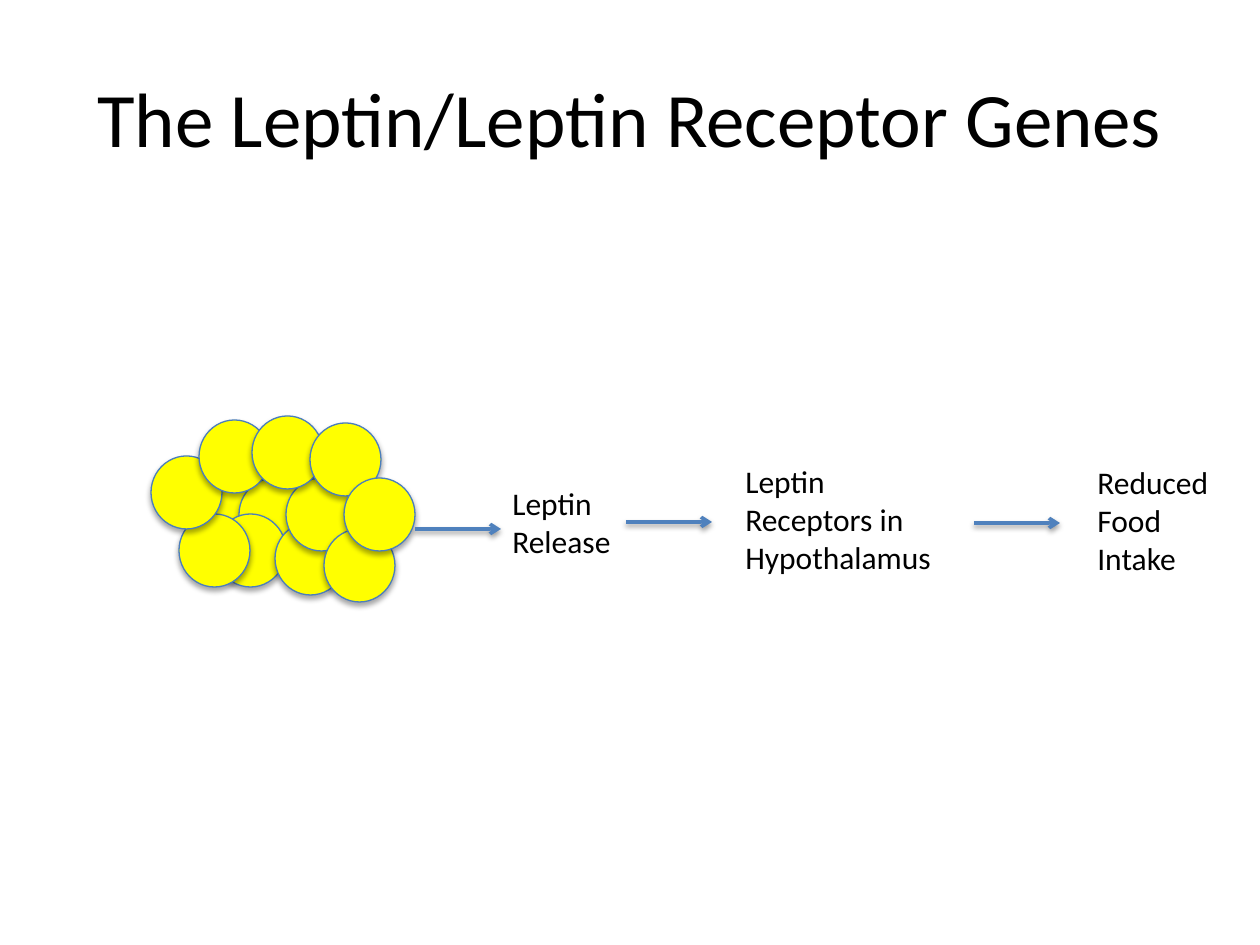
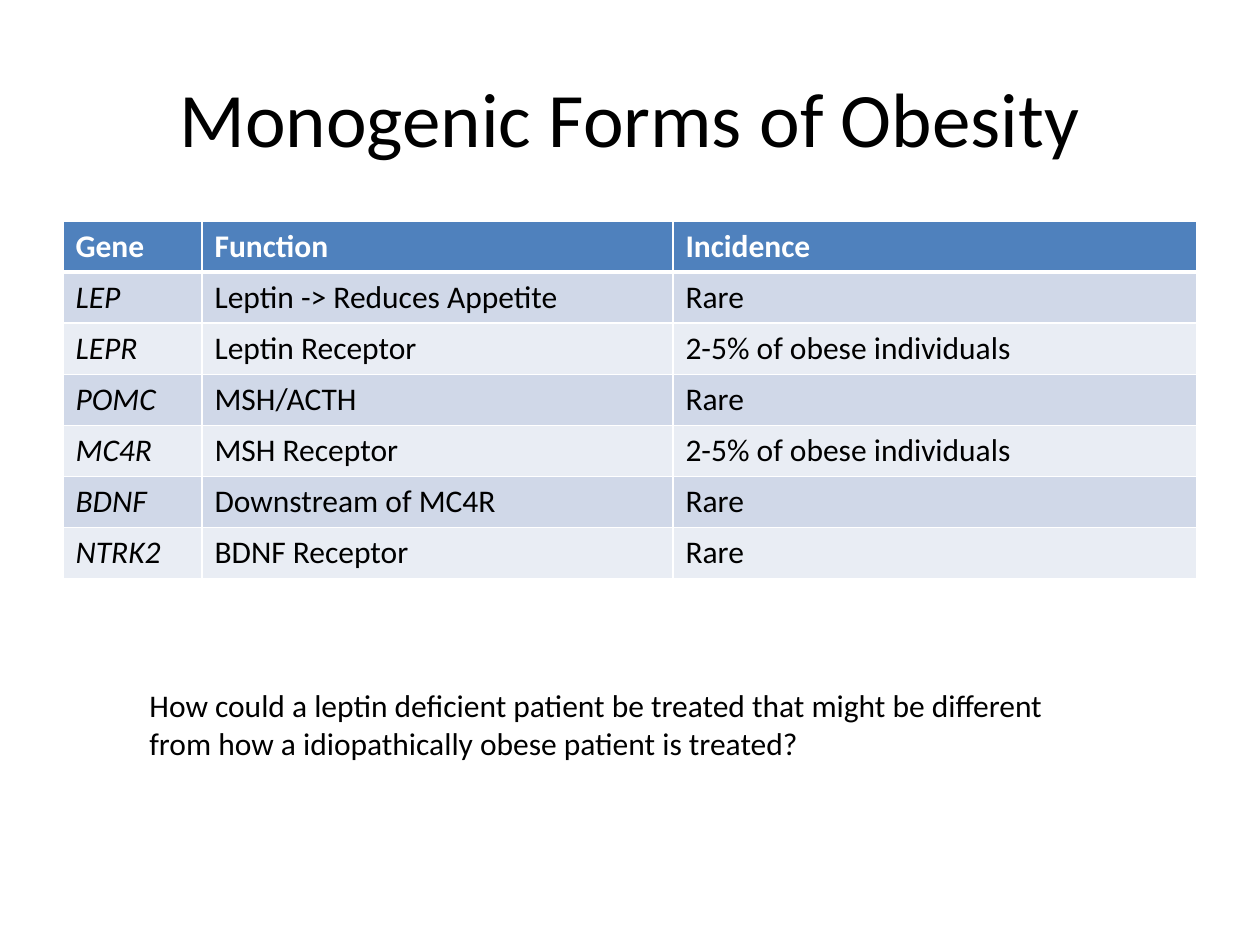
from lxml import etree
from pptx import Presentation
from pptx import util as u
from pptx.dml.color import RGBColor
from pptx.enum import shapes, text
from pptx.oxml import ns

SCALE = 914400 / 126
FONT = "Calibri"
BLACK, WHITE, BLUE = "000000", "FFFFFF", "4F81BD"
CELL_FILL, CELL_OUTLINE = "FFFF00", "4B7EBC"
BAND_FILLS = ("D0D8E8", "E9EDF4")

TITLE_BOX = (63, 38, 1134, 157)

FAT_CELL_SIZE = (71, 73)
FAT_CELLS = [
    (204, 478), (239, 478), (215, 514), (275, 522), (286, 478), (179, 514),
    (151, 456), (199, 420), (252, 416), (310, 423), (324, 529), (344, 478),
]
STEPS = [
    (["Leptin", "Release"], (500, 478, 125, 89)),
    (["Leptin", "Receptors in", "Hypothalamus"], (733, 456, 213, 127)),
    (["Reduced", "Food", "Intake"], (1085, 457, 137, 127)),
]
ARROW_LENGTH = 86
ARROW_STARTS = [(415, 529), (626, 522), (974, 523)]

TABLE_ORIGIN = (63, 221)
COLUMN_WIDTHS = (139, 471, 524)
ROW_HEIGHT = 51
GENES = [
    ("Gene", "Function", "Incidence"),
    ("LEP", "Leptin -> Reduces Appetite", "Rare"),
    ("LEPR", "Leptin Receptor", "2-5% of obese individuals"),
    ("POMC", "MSH/ACTH", "Rare"),
    ("MC4R", "MSH Receptor", "2-5% of obese individuals"),
    ("BDNF", "Downstream of MC4R", "Rare"),
    ("NTRK2", "BDNF Receptor", "Rare"),
]
QUESTION = ("How could a leptin deficient patient be treated that might be "
            "different from how a idiopathically obese patient is treated?")
QUESTION_BOX = (137, 680, 939, 89)


def px(*lengths):
    return [u.Emu(round(length * SCALE)) for length in lengths]


def color(value):
    return RGBColor.from_string(value)


def write(frame, lines, size=18, fill=BLACK, bold=False, italic=False, align=None):
    for index, line in enumerate(lines):
        paragraph = frame.paragraphs[0] if index == 0 else frame.add_paragraph()
        paragraph.alignment = align
        run = paragraph.add_run()
        run.text = line
        run.font.name = FONT
        run.font.size = u.Pt(size)
        run.font.color.rgb = color(fill)
        run.font.bold = bold
        run.font.italic = italic


def add_child(parent, tag, **attributes):
    child = etree.SubElement(parent, ns.qn(tag))
    for name, value in attributes.items():
        child.set(name, str(value))
    return child


def add_shadow(shape, distance, opacity):
    effects = add_child(shape._element.spPr, "a:effectLst")
    shadow = add_child(effects, "a:outerShdw", blurRad=u.Pt(3.1), dist=u.Pt(distance),
                       dir=90 * 60000, rotWithShape=0)
    add_child(add_child(shadow, "a:srgbClr", val=BLACK), "a:alpha", val=opacity * 1000)


def add_titled_slide(presentation, title):
    slide = presentation.slides.add_slide(presentation.slide_layouts[5])
    shape = slide.shapes.title
    shape.left, shape.top, shape.width, shape.height = px(*TITLE_BOX)
    shape.text_frame.vertical_anchor = text.MSO_ANCHOR.MIDDLE
    write(shape.text_frame, [title], size=44, align=text.PP_ALIGN.CENTER)
    return slide


def add_label(slide, lines, box, wrap):
    frame = slide.shapes.add_textbox(*px(*box)).text_frame
    frame.word_wrap = wrap
    frame.auto_size = text.MSO_AUTO_SIZE.SHAPE_TO_FIT_TEXT
    write(frame, lines)


def add_fat_cell(slide, position):
    shape = slide.shapes.add_shape(shapes.MSO_SHAPE.OVAL, *px(*position, *FAT_CELL_SIZE))
    shape.fill.solid()
    shape.fill.fore_color.rgb = color(CELL_FILL)
    shape.line.color.rgb = color(CELL_OUTLINE)
    shape.line.width = u.Pt(0.75)
    add_shadow(shape, 1.8, 35)


def add_arrow(slide, left, top):
    arrow = slide.shapes.add_connector(
        shapes.MSO_CONNECTOR.STRAIGHT, *px(left, top, left + ARROW_LENGTH, top))
    arrow.line.color.rgb = color(BLUE)
    arrow.line.width = u.Pt(2)
    add_child(arrow.line._get_or_add_ln(), "a:tailEnd", type="arrow")
    add_shadow(arrow, 1.6, 38)


def format_cell(cell, row, column):
    header = row == 0
    properties = cell._tc.get_or_add_tcPr()
    for side in "LRTB":
        heavy = (header and side == "B") or (row == 1 and side == "T")
        border = add_child(properties, f"a:ln{side}", w=u.Pt(3 if heavy else 1))
        add_child(add_child(border, "a:solidFill"), "a:srgbClr", val=WHITE)
    cell.fill.solid()
    cell.fill.fore_color.rgb = color(BLUE if header else BAND_FILLS[(row - 1) % 2])
    write(cell.text_frame, [GENES[row][column]], fill=WHITE if header else BLACK,
          bold=header, italic=not header and column == 0)


def add_gene_table(slide):
    size = (sum(COLUMN_WIDTHS), ROW_HEIGHT * len(GENES))
    table = slide.shapes.add_table(
        len(GENES), len(COLUMN_WIDTHS), *px(*TABLE_ORIGIN, *size)).table
    for column, width in zip(table.columns, px(*COLUMN_WIDTHS)):
        column.width = width
    for row in range(len(GENES)):
        for column in range(len(COLUMN_WIDTHS)):
            format_cell(table.cell(row, column), row, column)


def main():
    presentation = Presentation()
    presentation.slide_width, presentation.slide_height = px(1260, 945)

    slide = add_titled_slide(presentation, "The Leptin/Leptin Receptor Genes")
    for position in FAT_CELLS:
        add_fat_cell(slide, position)
    for lines, box in STEPS:
        add_label(slide, lines, box, wrap=False)
    for left, top in ARROW_STARTS:
        add_arrow(slide, left, top)

    slide = add_titled_slide(presentation, "Monogenic Forms of Obesity")
    add_gene_table(slide)
    add_label(slide, [QUESTION], QUESTION_BOX, wrap=True)

    presentation.save("out.pptx")


if __name__ == "__main__":
    main()
